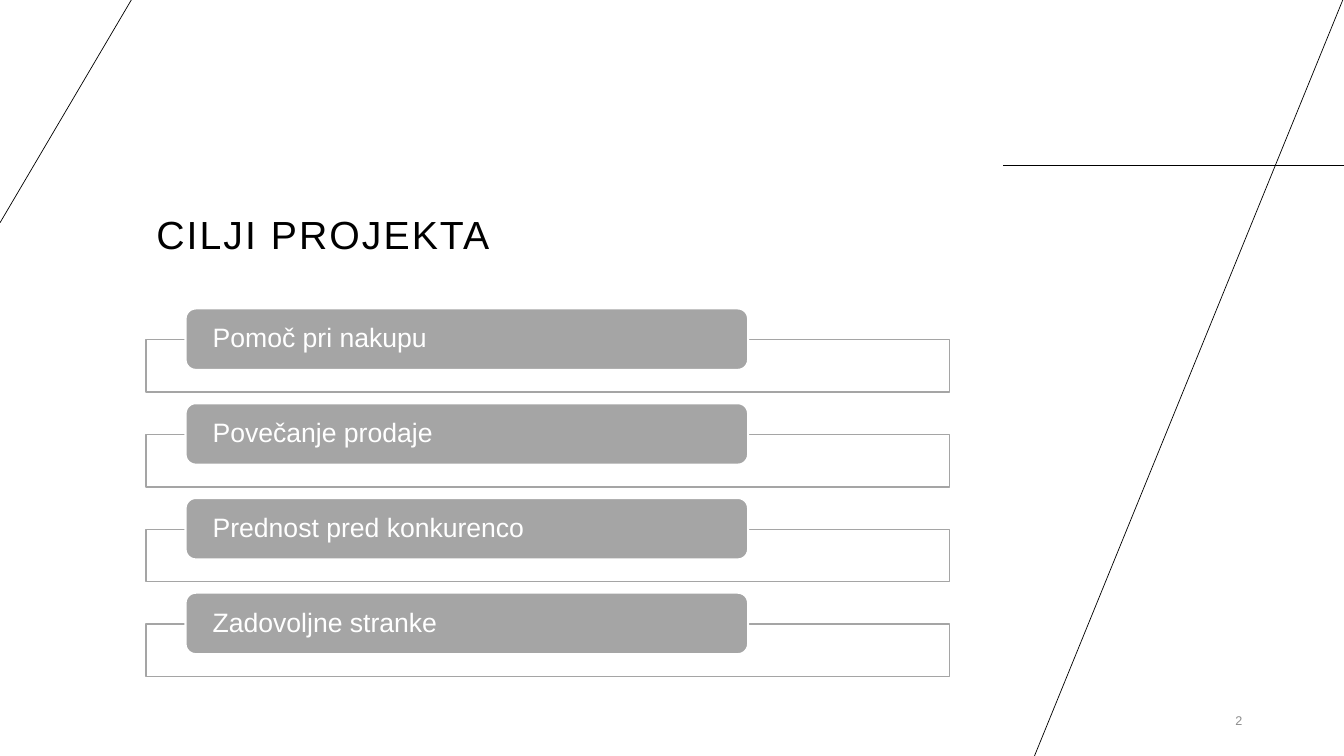
from dataclasses import dataclass

from lxml.etree import SubElement
from pptx import Presentation
from pptx.dml.color import RGBColor
from pptx.enum.shapes import MSO_CONNECTOR, MSO_SHAPE
from pptx.enum.text import MSO_ANCHOR, PP_ALIGN
from pptx.oxml.ns import qn
from pptx.util import Inches, Pt


@dataclass(frozen=True)
class Theme:
    font: str = "Arial"
    black: RGBColor = RGBColor(0x00, 0x00, 0x00)
    white: RGBColor = RGBColor(0xFF, 0xFF, 0xFF)
    gray: RGBColor = RGBColor(0xA5, 0xA5, 0xA5)
    number_gray: RGBColor = RGBColor(0x8C, 0x8C, 0x8C)
    title_size: int = 28
    goal_size: int = 19
    number_size: int = 9


theme = Theme()


def write_text(shape, text, size, color, frame_format, para_format):
    frame = shape.text_frame
    for name, value in {"word_wrap": True, **frame_format}.items():
        setattr(frame, name, value)
    para = frame.paragraphs[0]
    for name, value in para_format.items():
        setattr(para, name, value)
    span = para.add_run()
    span.text = text
    span.font.color.rgb = color
    for name, value in {"name": theme.font, "size": Pt(size), "bold": False}.items():
        setattr(span.font, name, value)
    return span


def add_box(page, kind, left, top, width, height, fill, line, line_width):
    box = page.shapes.add_shape(
        kind, Inches(left), Inches(top), Inches(width), Inches(height)
    )
    box.shadow.inherit = False
    box.fill.solid()
    box.fill.fore_color.rgb = fill
    box.line.color.rgb = line
    box.line.width = Pt(line_width)
    return box


deck = Presentation()
deck.slide_width, deck.slide_height = Inches(13.33), Inches(7.5)
page = deck.slides.add_slide(deck.slide_layouts[5])

# Decorative lines
for x1, y1, x2, y2 in [
    (9.95, 1.64, 13.33, 1.64),
    (13.33, -0.03, 10.26, 7.5),
    (0, 2.21, 1.32, -0.03),
]:
    line = page.shapes.add_connector(
        MSO_CONNECTOR.STRAIGHT, Inches(x1), Inches(y1), Inches(x2), Inches(y2)
    )
    line.line.color.rgb = theme.black
    line.line.width = Pt(0.5)
    SubElement(line.element.spPr, qn("a:effectLst"))

# Title
title = page.shapes.title
title_place = {"left": 1.45, "top": 0.29, "width": 7.97, "height": 2.32}
for name, value in title_place.items():
    setattr(title, name, Inches(value))
title_span = write_text(
    title, "CILJI PROJEKTA", theme.title_size, theme.black,
    {"vertical_anchor": MSO_ANCHOR.BOTTOM},
    {"alignment": PP_ALIGN.LEFT, "line_spacing": 0.9},
)
title_span.font._element.set("spc", "150")

# Slide number
number = page.shapes.add_textbox(Inches(11.34), Inches(6.95), Inches(1.08), Inches(0.4))
write_text(
    number, "2", theme.number_size, theme.number_gray,
    {"vertical_anchor": MSO_ANCHOR.MIDDLE},
    {"alignment": PP_ALIGN.RIGHT, "space_after": Pt(6)},
)

# Goals: a labelled bar over the upper edge of each frame
goals = [
    "Pomoč pri nakupu",
    "Povečanje prodaje",
    "Prednost pred konkurenco",
    "Zadovoljne stranke",
]
first_top, pitch = 3.06, 0.94
goal_frame_format = {
    "vertical_anchor": MSO_ANCHOR.MIDDLE,
    "margin_left": Inches(0.24),
    "margin_right": Inches(0.24),
    "margin_top": 0,
    "margin_bottom": 0,
}
for index, goal in enumerate(goals):
    top = first_top + index * pitch
    frame_box = add_box(
        page, MSO_SHAPE.RECTANGLE, 1.45, top + 0.31, 7.97, 0.52,
        theme.white, theme.gray, 1,
    )
    fill_color = frame_box.element.spPr.find(qn("a:solidFill"))[0]
    SubElement(fill_color, qn("a:alpha"), val="90000")
    bar = add_box(
        page, MSO_SHAPE.ROUNDED_RECTANGLE, 1.84, top, 5.58, 0.61,
        theme.gray, theme.white, 1.5,
    )
    write_text(
        bar, goal, theme.goal_size, theme.white, goal_frame_format,
        {"alignment": PP_ALIGN.LEFT, "line_spacing": 0.9},
    )

deck.save("out.pptx")
